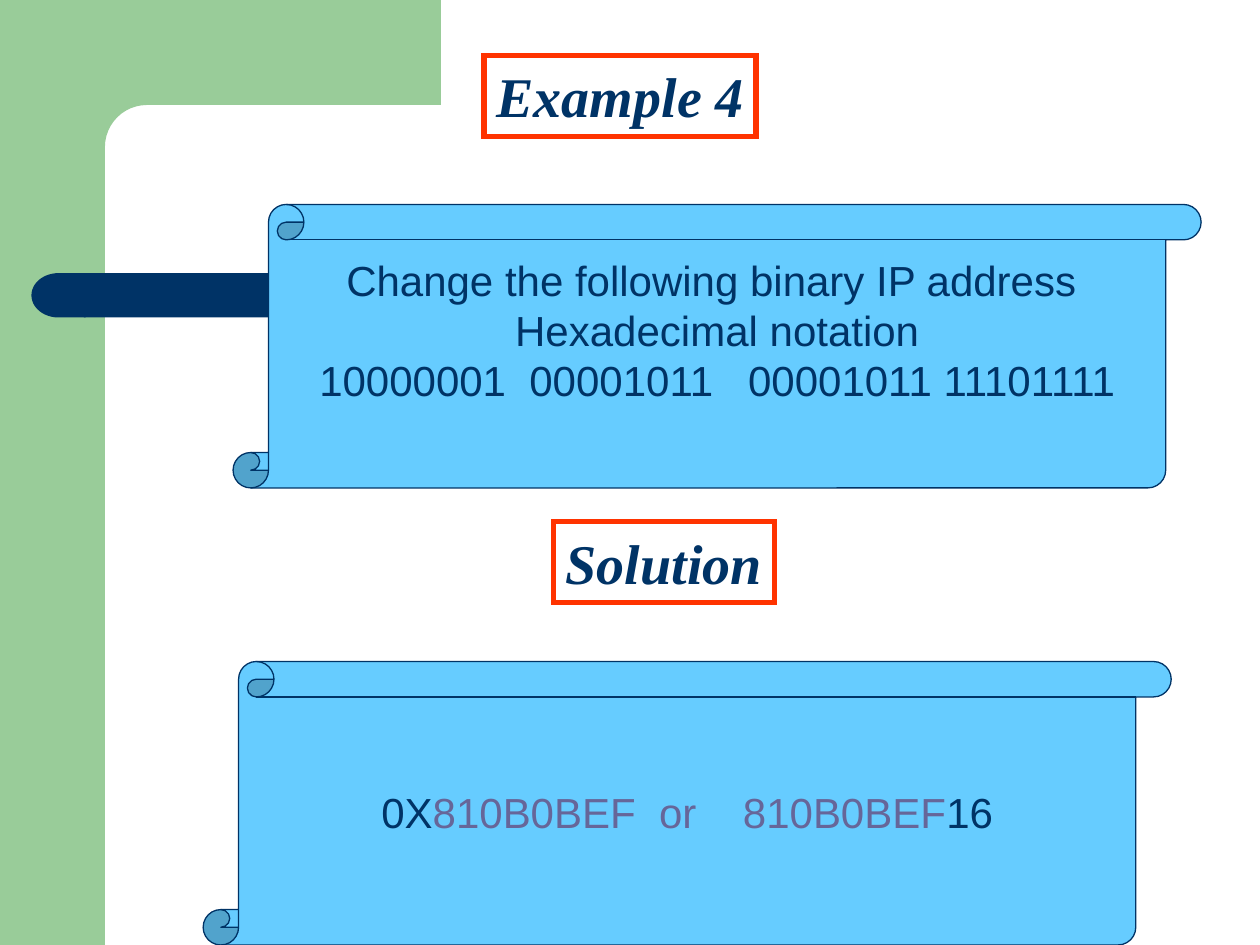
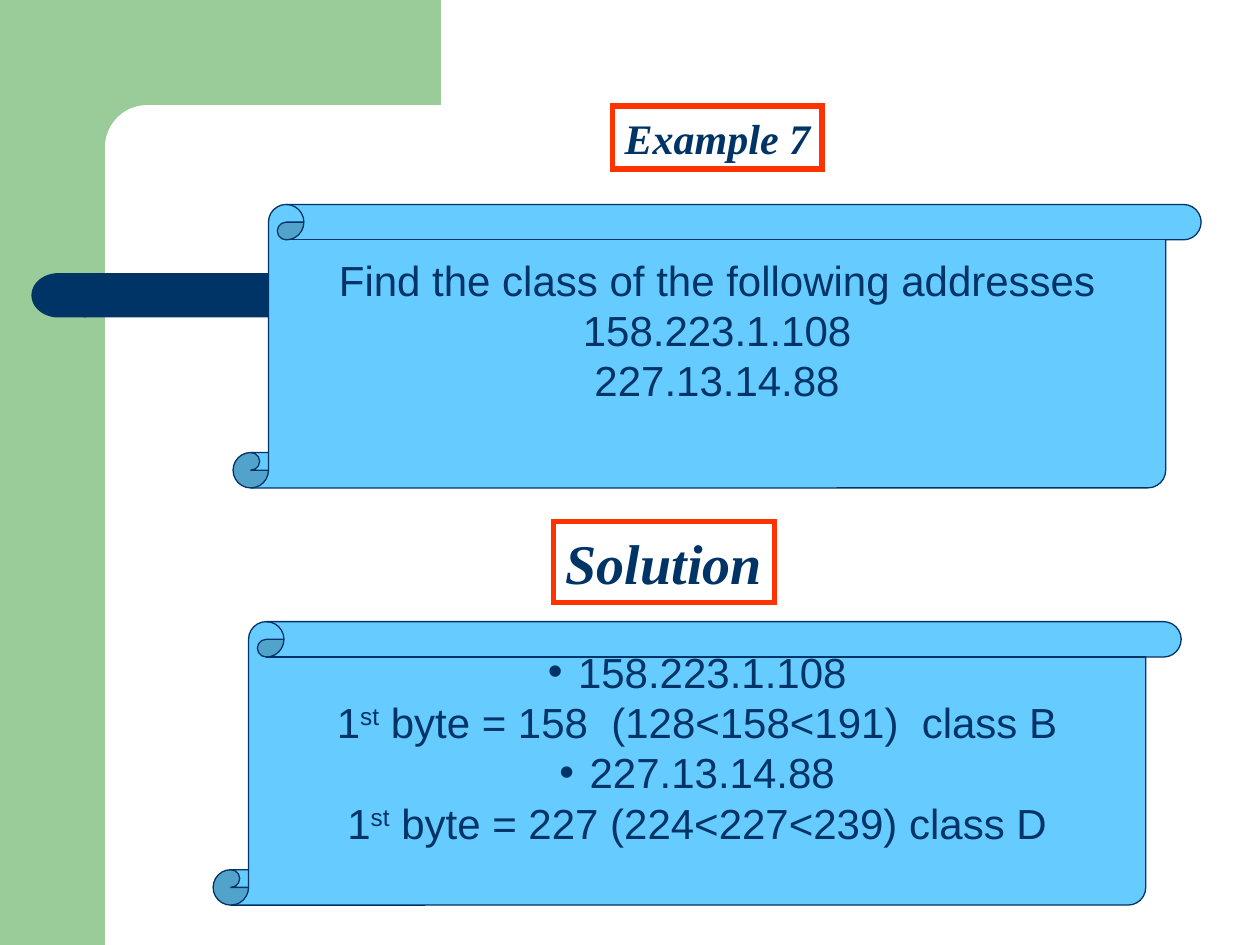
from math import cos, pi, sin

from lxml.etree import SubElement
from pptx import Presentation
from pptx.dml.color import RGBColor as RGB
from pptx.enum.shapes import MSO_SHAPE as SHAPE
from pptx.enum.text import MSO_ANCHOR as ANCHOR, MSO_AUTO_SIZE as AUTO, PP_ALIGN as ALIGN
from pptx.oxml.ns import qn
from pptx.util import Inches, Pt

COLORS = {"green": "99CC99", "navy": "003366", "sky": "66CCFF",
          "red": "FF3300", "violet": "666699", "white": "FFFFFF"}
COLS, ROWS = 120, 90
CELL = Inches(10) / COLS
SCROLL_SIZE = (92.2, 27)
SOLUTION_BOX = (52.7, 49.7, 21.1, 7.7)
QUESTION_AT = (22.2, 19.47)


def grid(*cells):
    return [round(c * CELL) for c in cells]


def paint(sp, fill, line=None, width=0.75):
    sp.shadow.inherit = False
    sp.fill.solid()
    sp.fill.fore_color.rgb = RGB.from_string(COLORS[fill])
    if line:
        sp.line.color.rgb = RGB.from_string(COLORS[line])
        sp.line.width = Pt(width)
    else:
        sp.line.fill.background()


def add_text(p, text, size=24, font="Arial", color="navy", bold=False, italic=False, raised=False):
    r = p.add_run()
    r.text = text
    f = r.font
    f.size, f.name, f.bold, f.italic = Pt(size), font, bold, italic
    f.color.rgb = RGB.from_string(COLORS[color])
    if raised:
        r._r.get_or_add_rPr().set("baseline", "30000")


def set_bullet(p):
    hang = Inches(0.24)
    pPr = p._p.get_or_add_pPr()
    pPr.set("marL", str(hang))
    pPr.set("indent", str(-hang))
    clr = SubElement(pPr, qn("a:buClr"))
    SubElement(clr, qn("a:srgbClr")).set("val", COLORS["navy"])
    SubElement(pPr, qn("a:buFont")).set("typeface", "Arial")
    SubElement(pPr, qn("a:buChar")).set("char", "•")


def set_frame(tf, anchor, right=0.1, bottom=0.05):
    tf.auto_size = AUTO.NONE
    tf.word_wrap = False
    tf.vertical_anchor = anchor
    tf.margin_left, tf.margin_right = Inches(0.1), Inches(right)
    tf.margin_top, tf.margin_bottom = Inches(0.05), Inches(bottom)


def add_corner(s, box):
    x, y, w, h = box
    edge, radius = w / 12, 4
    mid = edge + radius
    arc = [(x + mid - radius * sin(a), y + mid - radius * cos(a))
           for a in (i * pi / 24 for i in range(13))]
    left, right = x + w * 0.05, x + w * 0.35
    outline = [(right, y), (right, y + edge), *arc, (x + edge, y + h * 0.17),
               (left, y + h * 0.17), (left, y)]
    fb = s.shapes.build_freeform(*grid(*outline[0]))
    fb.add_line_segments([grid(*pt) for pt in outline[1:]])
    return fb.convert_to_shape()


def add_bands(s, layout, box):
    x, y, w, h = box
    side = s.shapes.add_shape(SHAPE.RECTANGLE, *grid(x, y, w / 12, h))
    corner = add_corner(s, box)
    bar_y, bar_h = y + h * 0.289, h * 0.047
    bar = s.shapes.add_shape(SHAPE.RECTANGLE, *grid(x + w / 15, bar_y, w * 0.767, bar_h))
    cap = s.shapes.add_shape(SHAPE.FLOWCHART_DELAY, *grid(x + w / 40, bar_y, w * 0.043, bar_h))
    cap.element.spPr.xfrm.set("flipH", "1")
    for i, (sp, color) in enumerate(((side, "green"), (corner, "green"),
                                     (bar, "navy"), (cap, "navy"))):
        paint(sp, color)
        sp.element.xpath(".//p:cNvPr")[0].set("id", str(100 + i))
        layout.shapes.element.insert(2 + i, sp.element)


def place_label(sp, box, text, size=32):
    sp.left, sp.top, sp.width, sp.height = grid(*box)
    paint(sp, "white", "red", 3)
    SubElement(sp.element.spPr.find(qn("a:ln")), qn("a:miter")).set("lim", "800000")
    tf = sp.text_frame
    set_frame(tf, ANCHOR.TOP, right=0)
    p = tf.paragraphs[0]
    p.alignment = ALIGN.LEFT
    add_text(p, text, size=size, font="Times New Roman", bold=True, italic=True)


def add_scroll(s, at, lines, bottom=0.05):
    sp = s.shapes.add_shape(SHAPE.VERTICAL_SCROLL, *grid(*at, *SCROLL_SIZE))
    paint(sp, "sky", "navy")
    tf = sp.text_frame
    set_frame(tf, ANCHOR.MIDDLE, bottom=bottom)
    for i, (bulleted, runs) in enumerate(lines):
        p = tf.add_paragraph() if i else tf.paragraphs[0]
        p.alignment = ALIGN.CENTER
        if bulleted:
            set_bullet(p)
        for text, fmt in runs:
            add_text(p, text, **fmt)


def plain(text):
    return False, [(text, {})]


def bullet(text):
    return True, [(text, {})]


def first_byte(rest):
    return False, [("1", {}), ("st", {"raised": True}), (rest, {})]


def add_example(s, title, title_box, title_size, question, answer_at, answer, answer_bottom):
    place_label(s.shapes.title, title_box, title, title_size)
    place_label(s.shapes.add_shape(SHAPE.RECTANGLE, 0, 0, 1, 1), SOLUTION_BOX, "Solution")
    add_scroll(s, QUESTION_AT, [plain(t) for t in question], bottom=0.45)
    add_scroll(s, answer_at, answer, answer_bottom)


def main():
    prs = Presentation()
    prs.slide_width, prs.slide_height = grid(COLS, ROWS)
    layout = prs.slide_layouts[5]
    hexadecimal, classes = [prs.slides.add_slide(layout) for _ in range(2)]
    add_bands(hexadecimal, layout, (0, 0, COLS, ROWS))

    add_example(hexadecimal, "Example 4", (46.1, 5.3, 25.9, 7.7), 32,
                ["Change the following binary IP address ", "Hexadecimal notation",
                 "10000001  00001011   00001011 11101111"],
                (19.35, 63),
                [(False, [("0X", {}), ("810B0BEF  or    810B0BEF", {"color": "violet"}),
                          ("16", {})])],
                0.05)
    add_example(classes, "Example 7", (58.3, 10.1, 20, 6), 24,
                ["Find the class of the following addresses", "158.223.1.108", "227.13.14.88"],
                (20.3, 59.2),
                [bullet("158.223.1.108"),
                 first_byte(" byte = 158  (128<158<191)  class B"),
                 bullet("227.13.14.88"),
                 first_byte(" byte = 227 (224<227<239) class D")],
                0.45)
    prs.save("out.pptx")


if __name__ == "__main__":
    main()
